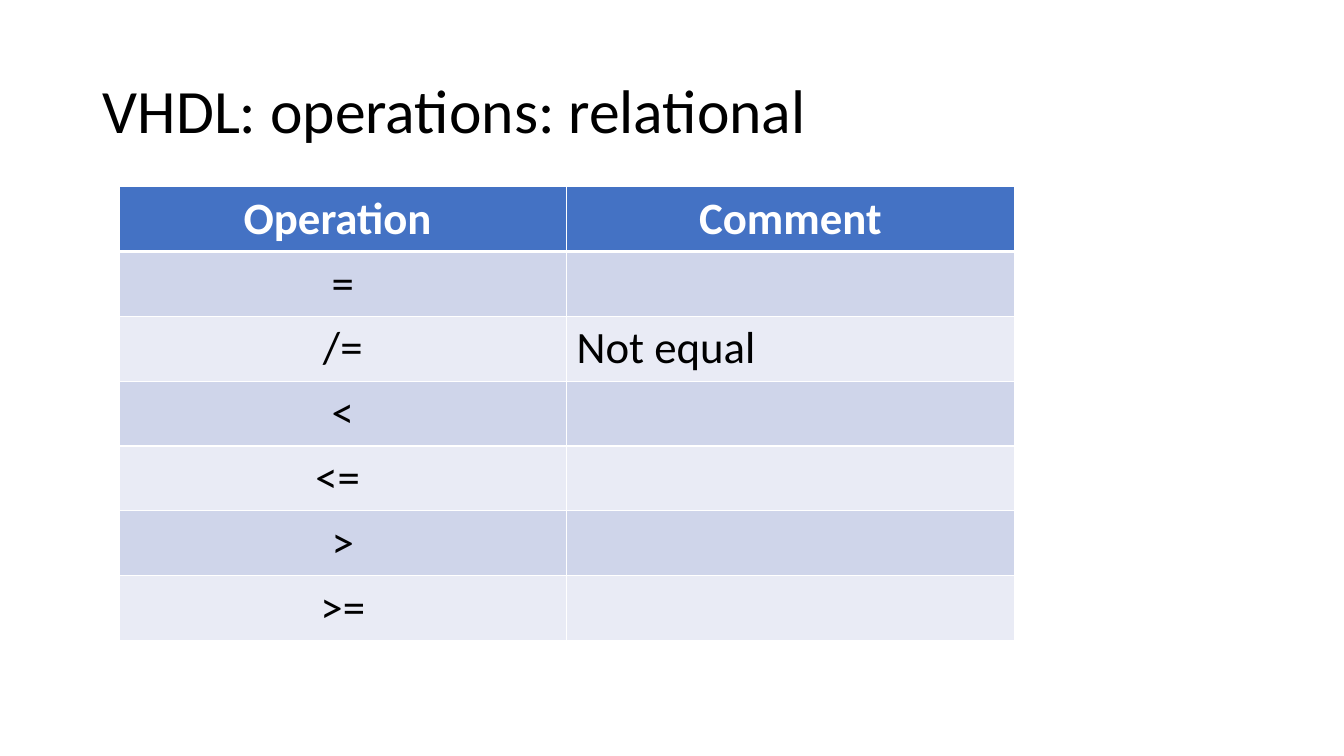
from lxml import etree
from pptx import Presentation
from pptx.dml.color import RGBColor
from pptx.enum.text import MSO_ANCHOR, PP_ALIGN
from pptx.oxml.ns import qn
from pptx.util import Inches, Pt

LEFT, MID = PP_ALIGN.LEFT, PP_ALIGN.CENTER

# Content
TITLE = "VHDL: operations: relational"
ROWS = [
    ("Operation ", "Comment"),
    ("=", ""),
    ("/=", "Not equal"),
    ("<", ""),
    ("<= ", ""),
    (">", ""),
    (">=", ""),
]
HUES = {"head": "4472C4", "odd": "CFD5EA", "even": "E9EBF5",
        "ink": "000000", "line": "FFFFFF"}
FONT = "Calibri"

# Grid, in inches
WIDE, HIGH = 13.33, 7.5
X, Y = 1.18, 1.85
COL, ROW = 4.44, 0.64


def style(para, size, hue, align, bold=False):
    para.alignment = align
    font = para.font
    font.name, font.size, font.bold = FONT, Pt(size), bold
    font.color.rgb = RGBColor.from_string(HUES[hue])


def edge(cell, side, width):
    line = etree.Element(qn("a:" + side), w=str(Pt(width)))
    fill = etree.SubElement(line, qn("a:solidFill"))
    etree.SubElement(fill, qn("a:srgbClr"), val=HUES["line"])
    return line


def main():
    deck = Presentation()
    deck.slide_width, deck.slide_height = Inches(WIDE), Inches(HIGH)
    slide = deck.slides.add_slide(deck.slide_layouts[5])

    # Title
    title = slide.shapes.title
    title.left, title.top = Inches(0.92), Inches(0.4)
    title.width, title.height = Inches(11.5), Inches(1.45)
    frame = title.text_frame
    frame.text = TITLE
    frame.vertical_anchor = MSO_ANCHOR.MIDDLE
    frame.paragraphs[0].line_spacing = 0.9
    style(frame.paragraphs[0], 44, "ink", LEFT)

    # Table of operations
    count = len(ROWS)
    table = slide.shapes.add_table(
        count, 2, Inches(X), Inches(Y), Inches(2 * COL), Inches(count * ROW)).table
    for r, row in enumerate(ROWS):
        head = r == 0
        band = "head" if head else "odd" if r % 2 else "even"
        for c, text in enumerate(row):
            cell = table.cell(r, c)
            cell.text = text
            style(cell.text_frame.paragraphs[0], 32, "line" if head else "ink",
                  MID if head or c == 0 else LEFT, head)
            cell.fill.solid()
            cell.fill.fore_color.rgb = RGBColor.from_string(HUES[band])
            # Borders go before the fill, with a thick rule under the header
            widths = {"lnL": 1, "lnR": 1, "lnT": 3 if r == 1 else 1,
                      "lnB": 3 if head else 1}
            props = cell._tc.get_or_add_tcPr()
            for i, (side, width) in enumerate(widths.items()):
                props.insert(i, edge(cell, side, width))

    deck.save("out.pptx")


if __name__ == "__main__":
    main()
